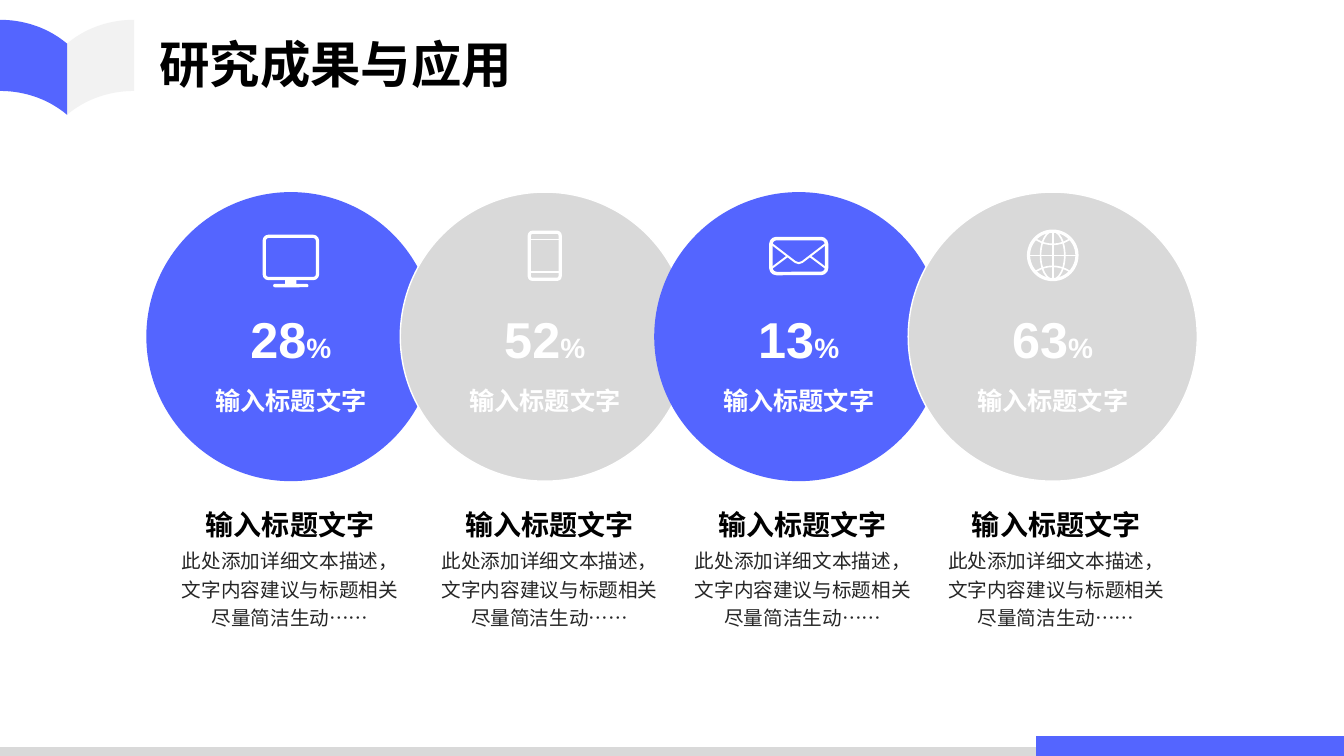
from dataclasses import dataclass

from lxml import etree
from pptx import Presentation
from pptx.dml.color import RGBColor
from pptx.enum import shapes as kinds, text as modes
from pptx.oxml.ns import qn
from pptx.util import Pt


@dataclass(frozen=True)
class Theme:
    blue: str = "5465FF"
    grey: str = "D9D9D9"
    pale: str = "F2F2F2"
    white: str = "FFFFFF"
    black: str = "000000"
    ink: str = "262626"
    latin: str = "Arial"
    asian: str = "Noto Sans CJK SC"
    title: int = 36
    value: int = 36
    unit: int = 20
    label: int = 18
    head: int = 20
    body: int = 14


T = Theme()
S = kinds.MSO_SHAPE
HEAD = "输入标题文字"
BODY = "此处添加详细文本描述，文字内容建议与标题相关尽量简洁生动……"


def tint(shape, fill=None, line=None, width=1):
    shape.shadow.inherit = False
    if fill:
        shape.fill.solid()
        shape.fill.fore_color.rgb = RGBColor.from_string(fill)
    else:
        shape.fill.background()
    if line:
        shape.line.color.rgb = RGBColor.from_string(line)
        shape.line.width = Pt(width)
    else:
        shape.line.fill.background()
    return shape


def block(slide, kind, x, y, w, h, **style):
    shape = slide.shapes.add_shape(kind, Pt(x), Pt(y), Pt(w), Pt(h))
    return tint(shape, **style)


def trace(slide, points, close=True, **style):
    points = [(Pt(x), Pt(y)) for x, y in points]
    pen = slide.shapes.build_freeform(*points[0])
    pen.add_line_segments(points[1:], close=close)
    return tint(pen.convert_to_shape(), **style)


def stroke(slide, x1, y1, x2, y2, width=1.2):
    line = slide.shapes.add_connector(
        kinds.MSO_CONNECTOR.STRAIGHT, Pt(x1), Pt(y1), Pt(x2), Pt(y2))
    line.line.color.rgb = RGBColor.from_string(T.white)
    line.line.width = Pt(width)
    etree.SubElement(line._element.spPr, qn("a:effectLst"))


def curve(a, b, c, d, steps=24):
    for i in range(steps + 1):
        t = i / steps
        s = 1 - t
        yield tuple(s**3 * p + 3 * s * s * t * q + 3 * s * t * t * r + t**3 * e
                    for p, q, r, e in zip(a, b, c, d))


def style(para, size, color, bold=False, latin=T.latin):
    font = para.font
    font.size, font.bold, font.name = Pt(size), bold, latin
    font.color.rgb = RGBColor.from_string(color)
    props = para._p.pPr.find(qn("a:defRPr"))
    etree.SubElement(props, qn("a:ea")).set("typeface", T.asian)


def inset(frame, side, top):
    frame.margin_left = frame.margin_right = Pt(side)
    frame.margin_top = frame.margin_bottom = Pt(top)
    frame.word_wrap = True


def write(slide, x, y, w, h, words, size, color, bold=False, pad=(0, 0), space=1.0):
    box = slide.shapes.add_textbox(Pt(x), Pt(y), Pt(w), Pt(h))
    inset(box.text_frame, *pad)
    para = box.text_frame.paragraphs[0]
    para.alignment = modes.PP_ALIGN.CENTER
    para.line_spacing = space
    para.add_run().text = words
    style(para, size, color, bold)
    return para


def screen(slide, x, y):
    frame = block(slide, S.ROUNDED_RECTANGLE, x - 19, y + 31.6, 38, 30.2,
                  line=T.white, width=2.3)
    frame.adjustments[0] = 0.1
    block(slide, S.RECTANGLE, x - 4, y + 62, 8, 4, fill=T.white)
    foot = block(slide, S.ROUNDED_RECTANGLE, x - 12.6, y + 65.6, 25.2, 2.4, fill=T.white)
    foot.adjustments[0] = 0.5


def phone(slide, x, y):
    frame = block(slide, S.ROUNDED_RECTANGLE, x - 11, y + 28.7, 22, 33.6,
                  line=T.white, width=2.3)
    frame.adjustments[0] = 0.1
    for drop in (33.8, 57.2):
        stroke(slide, x - 11, y + drop, x + 11, y + drop, 1)


def mail(slide, x, y):
    frame = block(slide, S.ROUNDED_RECTANGLE, x - 19.9, y + 33.2, 39.8, 25,
                  line=T.white, width=2.5)
    frame.adjustments[0] = 0.16
    flap = [(-19, 37.3), (-2.5, 50), (0, 50.8), (2.5, 50), (19, 37.3)]
    trace(slide, [(x + a, y + b) for a, b in flap], close=False, line=T.white, width=1.4)
    for side in (-1, 1):
        stroke(slide, x + side * 19, y + 54, x + side * 8, y + 45.8, 1.4)


def globe(slide, x, y):
    mid, size = y + 45.2, 17.3
    for half, width in ((size, 2.3), (size / 2, 1.2)):
        block(slide, S.OVAL, x - half, mid - size, 2 * half, 2 * size,
              line=T.white, width=width)
    stroke(slide, x, mid - size, x, mid + size)
    stroke(slide, x - size, mid, x + size, mid)
    for side in (-1, 1):
        arc = curve(*((x + a, mid + side * b) for a, b in
                      ((-12, 11.5), (-5, 6.7), (5, 6.7), (12, 11.5))))
        trace(slide, arc, close=False, line=T.white, width=1.2)


def disc(slide, x, y, size, color, edge, icon, value):
    mid = x + size / 2
    block(slide, S.OVAL, x, y, size, size, fill=color, line=edge)
    icon(slide, mid, y)
    para = write(slide, mid - 44, y + 79.5, 88, 51, value, T.value, T.white, True, (7.2, 3.6))
    unit = para.add_run()
    unit.text = "%"
    unit.font.size = Pt(T.unit)
    write(slide, mid - 71, y + 134.2, 142, 29, HEAD, T.label, T.white, True, (7.2, 3.6))


def note(slide, x, y, w):
    write(slide, x, y, w, 27, HEAD, T.head, T.black, True, space=1.2)
    write(slide, x, y + 31, w, 61, BODY, T.body, T.ink, space=1.2)


def book(slide, x, y, w, h):
    rise = h - 17
    for side, color in ((1, T.pale), (-1, T.blue)):
        edge = list(curve((w, 0), (0.62 * w, 0), (0.27 * w, 0.09 * h), (0, 17)))
        low = [(a, b + rise) for a, b in reversed(edge)]
        trace(slide, [(x + w + side * a, y + b) for a, b in edge + low], fill=color)


def foot(slide, x, y, w, h):
    split = 740
    block(slide, S.RECTANGLE, x + split, y, w - split, h, fill=T.blue)
    block(slide, S.RECTANGLE, x, y + h - 6.3, split, 6.3, fill=T.grey)


def name(slide, x, y, w, h, words):
    title = slide.shapes.title
    title.left, title.top, title.width, title.height = Pt(x), Pt(y), Pt(w), Pt(h)
    frame = title.text_frame
    frame.text = words
    inset(frame, 0, 3.6)
    frame.auto_size = modes.MSO_AUTO_SIZE.NONE
    frame.vertical_anchor = modes.MSO_ANCHOR.MIDDLE
    para = frame.paragraphs[0]
    para.alignment = modes.PP_ALIGN.LEFT
    style(para, T.title, T.black, True, T.asian)


def main():
    deck = Presentation()
    deck.slide_width, deck.slide_height = Pt(960), Pt(540)
    slide = deck.slides.add_slide(deck.slide_layouts[5])
    book(slide, 0, 14.2, 47.9, 67.8)
    foot(slide, 0, 525.8, 960, 14.2)
    name(slide, 113.8, 30.4, 339, 30.4, "研究成果与应用")
    items = [
        (T.blue, None, screen, "28", 0),
        (T.grey, T.white, phone, "52", 4),
        (T.blue, None, mail, "13", 3.5),
        (T.grey, T.white, globe, "63", 3),
    ]
    left, step, size, width = 104.5, 181.4, 206.5, 161.4
    for i, (color, edge, icon, value, shift) in enumerate(items):
        x = left + i * step
        disc(slide, x, 137.2, size, color, edge, icon, value)
        note(slide, x + (size - width) / 2 + shift - 0.5, 358, width)
    deck.save("out.pptx")


if __name__ == "__main__":
    main()
